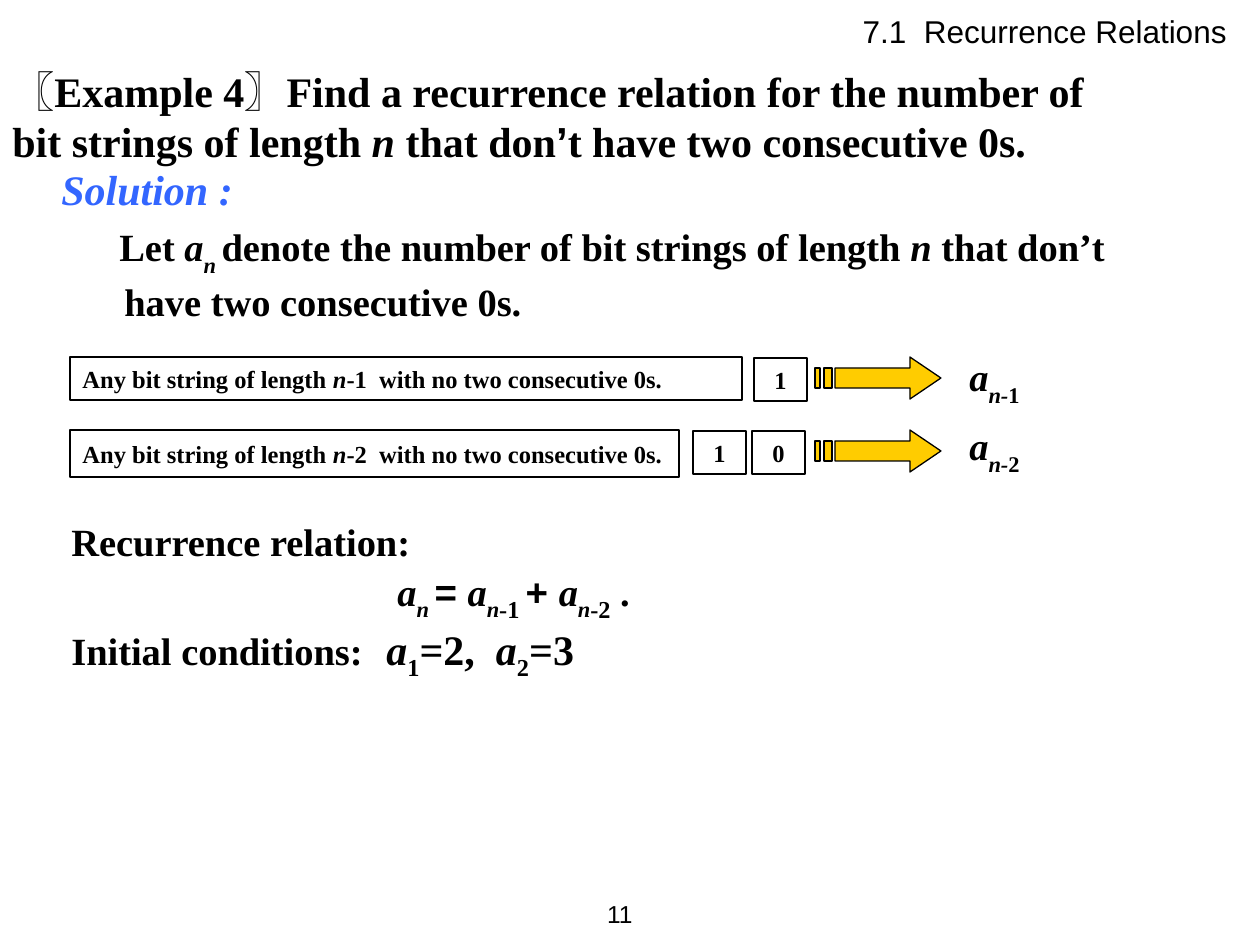
from dataclasses import dataclass
from typing import NamedTuple

from lxml.etree import SubElement
from pptx import Presentation
from pptx.dml.color import RGBColor
from pptx.enum.shapes import MSO_SHAPE
from pptx.enum.text import MSO_ANCHOR, MSO_AUTO_SIZE, PP_ALIGN
from pptx.oxml.ns import qn
from pptx.util import Emu, Pt

SCALE = 914400 / 126
BLACK = RGBColor(0x00, 0x00, 0x00)
BLUE = RGBColor(0x33, 0x66, 0xFF)
GOLD = RGBColor(0xFF, 0xCC, 0x00)
SERIF = "Times New Roman"
SANS = "Arial"


def px(count: int) -> Emu:
    return Emu(round(count * SCALE))


class Box(NamedTuple):
    left: int
    top: int
    width: int
    height: int


class Piece(NamedTuple):
    text: str
    slant: bool = False
    drop: int = 0
    size: int = 22
    font: str = SERIF
    bold: bool = True
    color: RGBColor = BLACK


@dataclass
class Line:
    words: list[Piece]
    align: PP_ALIGN = PP_ALIGN.LEFT
    before: float = 0
    margin: int = 0
    indent: int = 0
    stop: int = 0


@dataclass
class Row:
    top: int
    width: int
    less: str
    cells: dict[int, str]
    label: int


def var(name: str, size: int = 22) -> Piece:
    return Piece(name, True, 0, size)


def low(text: str, slant: bool = True, size: int = 22) -> Piece:
    return Piece(text, slant, -30, size)


def fill_text(frame, lines: list[Line], anchor=MSO_ANCHOR.TOP) -> None:
    frame.word_wrap = True
    frame.auto_size = MSO_AUTO_SIZE.NONE
    frame.vertical_anchor = anchor
    for row, line in enumerate(lines):
        para = frame.add_paragraph() if row else frame.paragraphs[0]
        para.alignment = line.align
        para.space_before = Pt(line.before)
        props = para._p.get_or_add_pPr()
        props.set("marL", str(px(line.margin)))
        props.set("indent", str(px(line.indent)))
        if line.stop:
            tabs = SubElement(props, qn("a:tabLst"))
            SubElement(tabs, qn("a:tab"), pos=str(px(line.stop)), algn="l")
        for piece in line.words:
            run = para.add_run()
            run.text = piece.text
            font = run.font
            font.name, font.size = piece.font, Pt(piece.size)
            font.bold, font.italic = piece.bold, piece.slant
            font.color.rgb = piece.color
            if piece.drop:
                run._r.get_or_add_rPr().set("baseline", str(piece.drop * 1000))


def add_text(slide, box: Box, lines: list[Line], anchor=MSO_ANCHOR.TOP) -> None:
    shape = slide.shapes.add_textbox(*map(px, box))
    fill_text(shape.text_frame, lines, anchor)


def add_frame(slide, box: Box, line: Line) -> None:
    shape = slide.shapes.add_shape(MSO_SHAPE.RECTANGLE, *map(px, box))
    shape.shadow.inherit = False
    shape.fill.background()
    shape.line.color.rgb = BLACK
    shape.line.width = Pt(0.75)
    fill_text(shape.text_frame, [line], MSO_ANCHOR.MIDDLE)


def add_arrow(slide, left: int, top: int) -> None:
    head = [(95, 0), (95, 11), (20, 11), (20, 31), (95, 31), (95, 42), (126, 21)]
    bars = [[(a, 11), (a, 31), (b, 31), (b, 11)] for a, b in ((9, 17), (0, 5))]
    draft = slide.shapes.build_freeform(left + 95, top, scale=SCALE)
    for count, ring in enumerate([head, *bars]):
        spots = [(left + x, top + y) for x, y in ring]
        if count:
            draft.move_to(*spots[0])
        draft.add_line_segments(spots[1:], close=True)
    shape = draft.convert_to_shape()
    shape.shadow.inherit = False
    shape.fill.solid()
    shape.fill.fore_color.rgb = GOLD
    shape.line.color.rgb = BLACK
    shape.line.width = Pt(0.75)


def add_row(slide, row: Row) -> None:
    height = 47 if row.less == "2" else 43
    words = [
        Piece("Any bit string of length ", size=14),
        var("n", 14),
        Piece(f"-{row.less}  with no two consecutive 0s.", size=14),
    ]
    add_frame(slide, Box(70, row.top, row.width, height), Line(words))
    for left, digit in row.cells.items():
        cell = Line([Piece(digit, size=14)], PP_ALIGN.CENTER)
        add_frame(slide, Box(left, row.top + 1, 53, 43), cell)
    add_arrow(slide, 815, row.top)
    term = [var("a"), low("n-"), low(row.less, False)]
    add_text(slide, Box(957, row.label, 90, 67), [Line(term)])


def main() -> None:
    deck = Presentation()
    deck.slide_width, deck.slide_height = px(1260), px(945)
    slide = deck.slides.add_slide(deck.slide_layouts[5])

    title = slide.shapes.title
    title.left, title.top, title.width, title.height = map(px, Box(850, 6, 410, 50))
    name = Piece("7.1  Recurrence Relations", size=18, font=SANS, bold=False)
    fill_text(title.text_frame, [Line([name])])

    task = [
        Piece("〖", size=24, font=SANS),
        Piece("Example 4", size=24),
        Piece("〗", size=24, font=SANS),
        Piece("Find a recurrence relation for the number of bit strings of length ", size=24),
        var("n", 24),
        Piece(" that don", size=24),
        Piece("’", size=24, font=SANS),
        Piece("t have two consecutive 0s.", size=24),
    ]
    add_text(slide, Box(0, 59, 1134, 113), [Line(task, before=6)])

    start = [Piece("Solution :", True, size=24, color=BLUE)]
    given = [
        Piece("Let "),
        var("a"),
        low("n "),
        Piece("denote the number of bit strings of length "),
        var("n"),
        Piece(" that don’t have two consecutive 0s."),
    ]
    add_text(slide, Box(49, 157, 1144, 174), [
        Line(start, before=9),
        Line(given, before=5.5, margin=63, indent=-5),
    ])

    for row in (
        Row(357, 672, "1", {754: "1"}, 347),
        Row(430, 609, "2", {693: "1", 752: "0"}, 416),
    ):
        add_row(slide, row)

    rule = [
        var("a"), low("n "), Piece("= ", font=SANS),
        var("a"), low("n"), low("-1 ", False, 24), Piece("+ ", font=SANS),
        var("a"), low("n"), low("-2", False, 24), Piece(" ."),
    ]
    first = [Piece("Initial conditions:\t")]
    for digit, value in (("1", "=2,  "), ("2", "=3")):
        first += [var("a", 24), Piece(digit, drop=-25, size=24), Piece(value, size=24)]
    add_text(slide, Box(59, 512, 1144, 176), [
        Line([Piece("Recurrence relation:")]),
        Line(rule, margin=326),
        Line(first, stop=320),
    ])

    page = Piece("11", size=14, font=SANS, bold=False)
    add_text(slide, Box(561, 882, 84, 63), [Line([page], PP_ALIGN.RIGHT)], MSO_ANCHOR.MIDDLE)
    deck.save("out.pptx")


if __name__ == "__main__":
    main()
